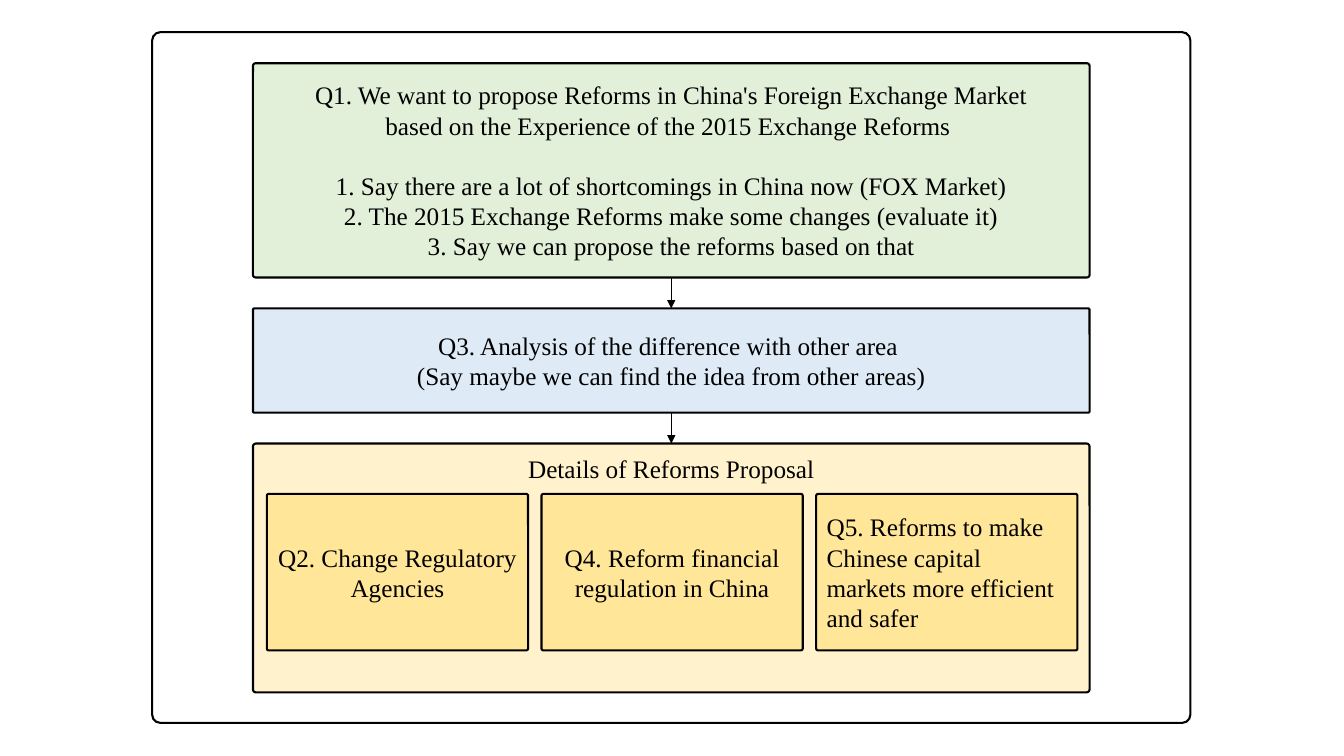
"""Build the flow chart of questions on foreign exchange reforms."""
from dataclasses import dataclass

from lxml import etree
from pptx import Presentation
from pptx.dml.color import RGBColor
from pptx.enum.shapes import MSO_CONNECTOR, MSO_SHAPE
from pptx.enum.text import MSO_ANCHOR, PP_ALIGN
from pptx.oxml.ns import qn
from pptx.slide import Slide
from pptx.text.text import TextFrame
from pptx.util import Pt

BLACK = RGBColor(0x00, 0x00, 0x00)
GREEN = RGBColor(0xE2, 0xF0, 0xD9)
BLUE = RGBColor(0xDE, 0xEB, 0xF7)
CREAM = RGBColor(0xFF, 0xF2, 0xCC)
YELLOW = RGBColor(0xFF, 0xE6, 0x99)

FONT = "Times New Roman"
SLIDE_W, SLIDE_H = 960, 540
STAGE_X, STAGE_W = 180.7, 597.6
CARD_X, CARD_Y, CARD_W, CARD_H, CARD_STEP = 190.6, 352.8, 186.6, 111.8, 196.2
LINE_GAP = 21.5


@dataclass(frozen=True)
class Box:
    """A rounded box with optional text; gap_at is the paragraph with a gap above."""
    x: float
    y: float
    w: float
    h: float
    fill: RGBColor | None = None
    lines: tuple[str, ...] = ()
    align: PP_ALIGN = PP_ALIGN.CENTER
    gap_at: int = 0


FRAME = Box(108.7, 23, 741.6, 493.4)
STAGES = (
    Box(STAGE_X, 45.2, STAGE_W, 153, GREEN, (
        "Q1. We want to propose Reforms in China's Foreign Exchange Market",
        "based on the Experience of the 2015 Exchange Reforms ",
        "1. Say there are a lot of shortcomings in China now (FOX Market)",
        "2. The 2015 Exchange Reforms make some changes (evaluate it)",
        "3. Say we can propose the reforms based on that",
    ), gap_at=2),
    Box(STAGE_X, 220.3, STAGE_W, 74.4, BLUE, (
        "Q3. Analysis of the difference with other area ",
        "(Say maybe we can find the idea from other areas)",
    )),
    Box(STAGE_X, 316.8, STAGE_W, 177.8, CREAM),
)
CARDS = (
    (("Q2. Change Regulatory Agencies",), PP_ALIGN.CENTER),
    (("Q4. Reform financial regulation in China",), PP_ALIGN.CENTER),
    (("Q5. Reforms to make Chinese capital markets more efficient",
      "and safer"), PP_ALIGN.LEFT),
)


def write(tf: TextFrame, lines: tuple[str, ...], *, size: float = 18,
          align: PP_ALIGN = PP_ALIGN.CENTER, anchor: MSO_ANCHOR = MSO_ANCHOR.MIDDLE,
          gap_at: int = 0) -> None:
    """Write one paragraph per line."""
    tf.word_wrap = True
    tf.vertical_anchor = anchor
    for i, line in enumerate(lines):
        p = tf.paragraphs[0] if i == 0 else tf.add_paragraph()
        p.alignment = align
        if i and i == gap_at:
            p.space_before = Pt(LINE_GAP)
        r = p.add_run()
        r.text = line
        r.font.name = FONT
        r.font.size = Pt(size)
        r.font.color.rgb = BLACK


def draw_box(s: Slide, box: Box) -> None:
    """Draw a rounded box and its text."""
    sp = s.shapes.add_shape(MSO_SHAPE.ROUNDED_RECTANGLE,
                            Pt(box.x), Pt(box.y), Pt(box.w), Pt(box.h))
    sp.adjustments[0] = 0.012
    sp.shadow.inherit = False
    if box.fill is None:
        sp.fill.background()
    else:
        sp.fill.solid()
        sp.fill.fore_color.rgb = box.fill
    sp.line.color.rgb = BLACK
    sp.line.width = Pt(1.5)
    if box.lines:
        write(sp.text_frame, box.lines, align=box.align, gap_at=box.gap_at)


def draw_arrow(s: Slide, upper: Box, lower: Box) -> None:
    """Draw an arrow from one box down to the next."""
    x = Pt(upper.x + upper.w / 2)
    cn = s.shapes.add_connector(MSO_CONNECTOR.STRAIGHT,
                                x, Pt(upper.y + upper.h), x, Pt(lower.y))
    cn.line.color.rgb = BLACK
    cn.line.width = Pt(0.5)
    etree.SubElement(cn.line._get_or_add_ln(), qn("a:tailEnd"), type="triangle")
    etree.SubElement(cn._element.spPr, qn("a:effectLst"))


def main() -> None:
    """Build and save the slide."""
    prs = Presentation()
    prs.slide_width, prs.slide_height = Pt(SLIDE_W), Pt(SLIDE_H)
    s = prs.slides.add_slide(prs.slide_layouts[6])

    for box in (FRAME, *STAGES):
        draw_box(s, box)
    for upper, lower in zip(STAGES, STAGES[1:]):
        draw_arrow(s, upper, lower)

    title = s.shapes.add_textbox(Pt(STAGE_X), Pt(320.4), Pt(STAGE_W), Pt(29))
    write(title.text_frame, ("Details of Reforms Proposal",), anchor=MSO_ANCHOR.TOP)
    for i, (lines, align) in enumerate(CARDS):
        draw_box(s, Box(CARD_X + i * CARD_STEP, CARD_Y, CARD_W, CARD_H,
                        YELLOW, lines, align))

    prs.save("out.pptx")


if __name__ == "__main__":
    main()
